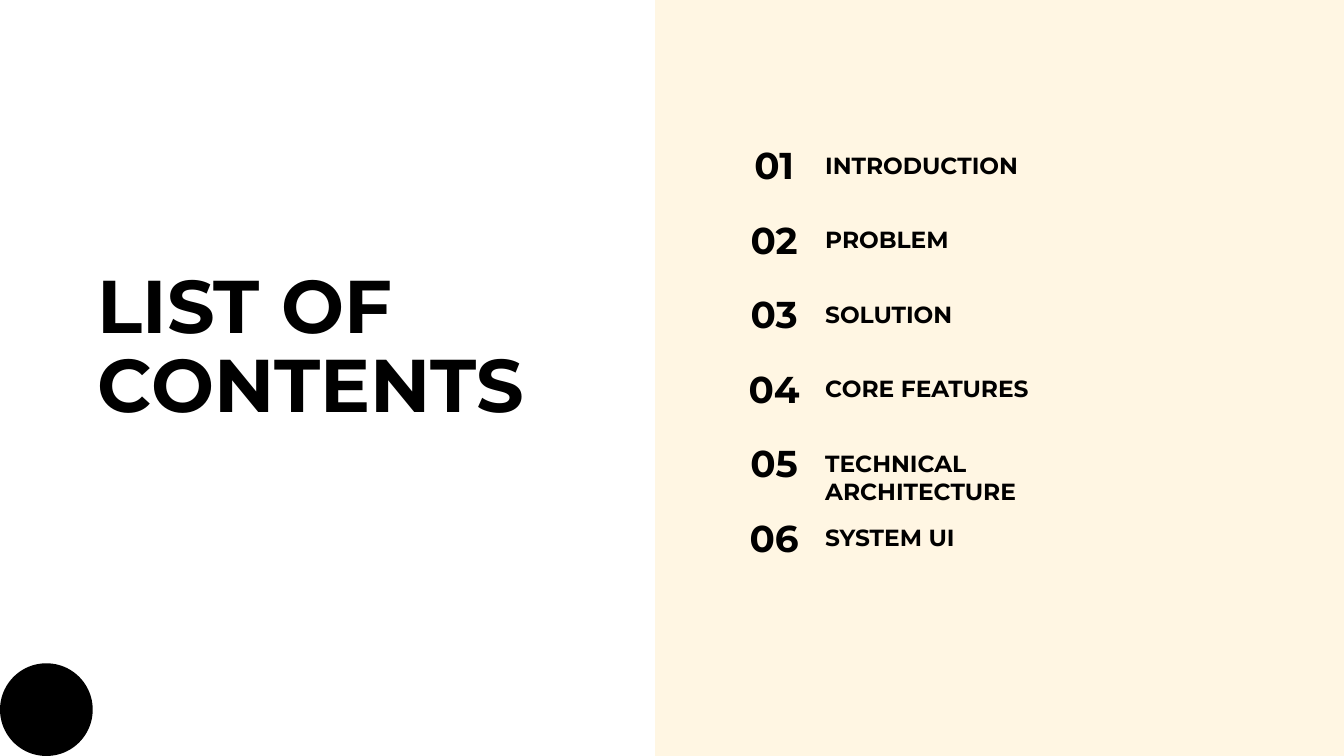
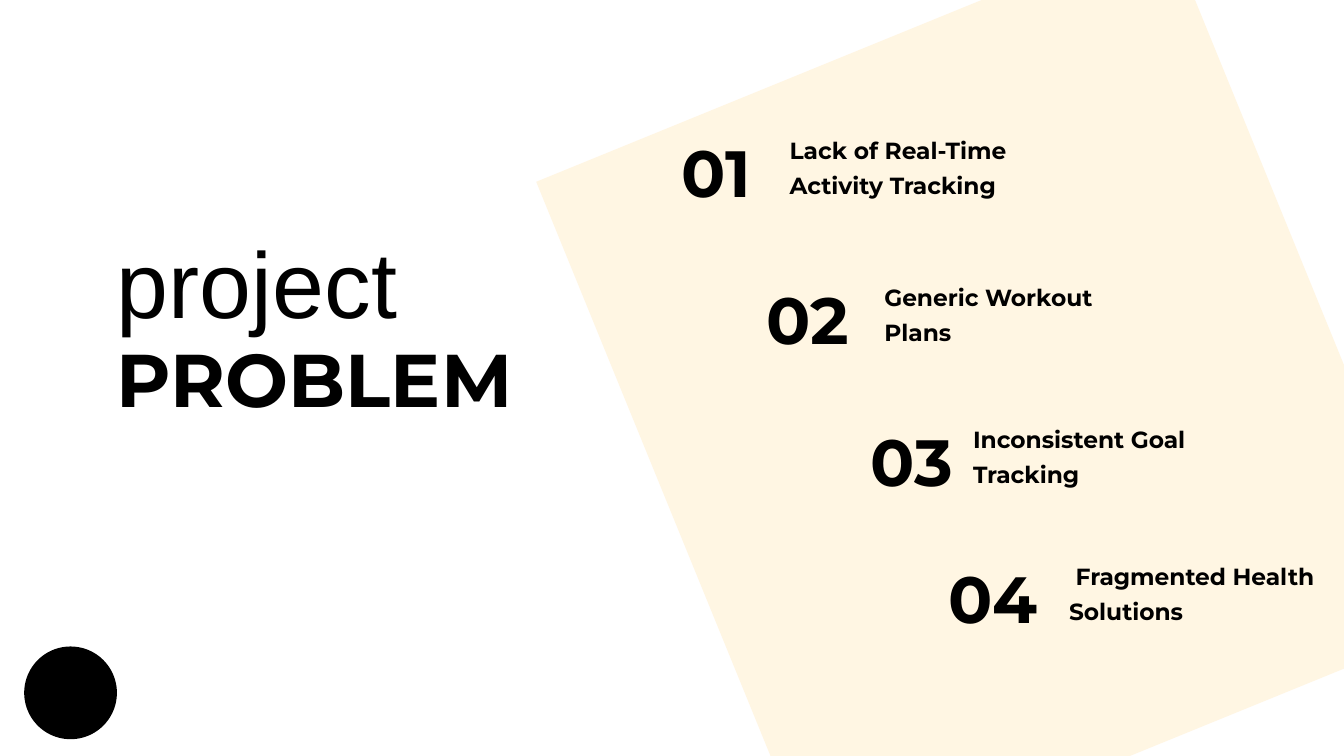
"""Builds the contents slide and the project problem slide."""
from pptx import Presentation
from pptx import util as u
from pptx.dml.color import RGBColor
from pptx.enum import shapes, text

COLORS = {"ink": "000000", "cream": "FFF6E3"}
STYLES = {
    "title": {"name": "Montserrat", "size": u.Pt(80), "bold": True},
    "lead": {"name": "Arial", "size": u.Pt(100), "bold": False},
    "label": {"name": "Montserrat", "size": u.Pt(25), "bold": True},
    "number": {"name": "Montserrat", "size": u.Pt(40), "bold": True},
    "big number": {"name": "Montserrat", "size": u.Pt(70), "bold": True},
}
FRAME = {"margin_left": 0, "margin_right": 0, "margin_top": 0, "margin_bottom": 0,
         "word_wrap": True, "vertical_anchor": text.MSO_ANCHOR.TOP,
         "auto_size": text.MSO_AUTO_SIZE.SHAPE_TO_FIT_TEXT}


def add_text(s, words, box, style, spacing, align=text.PP_ALIGN.LEFT):
    box = [u.Inches(v) for v in box]
    if style == "title":
        sp = s.shapes.title
        sp.left, sp.top, sp.width, sp.height = box
    else:
        sp = s.shapes.add_textbox(*box)
    tf = sp.text_frame
    for key, value in FRAME.items():
        setattr(tf, key, value)
    p = tf.paragraphs[0]
    p.alignment = align
    p.line_spacing = u.Pt(spacing)
    r = p.add_run()
    r.text = words
    for key, value in STYLES[style].items():
        setattr(r.font, key, value)
    r.font.color.rgb = RGBColor.from_string(COLORS["ink"])


def add_block(s, kind, box, color, rotation=0):
    sp = s.shapes.add_shape(kind, *[u.Inches(v) for v in box])
    sp.shadow.inherit = False
    sp.fill.solid()
    sp.fill.fore_color.rgb = RGBColor.from_string(COLORS[color])
    sp.line.fill.background()
    sp.rotation = rotation


prs = Presentation()
prs.slide_width, prs.slide_height = u.Inches(20), u.Inches(11.25)
RECT, OVAL = shapes.MSO_SHAPE.RECTANGLE, shapes.MSO_SHAPE.OVAL
CENTER = text.PP_ALIGN.CENTER
DOT = 1.38

s = prs.slides.add_slide(prs.slide_layouts[5])
add_block(s, RECT, (9.75, -0.47, 10.26, 11.72), "cream")
add_text(s, "LIST OF CONTENTS", (1.45, 4.01, 6.42, 2.4), "title", 84.8)
contents = ["INTRODUCTION", "PROBLEM", "SOLUTION", "CORE FEATURES",
            "TECHNICAL ARCHITECTURE", "SYSTEM UI"]
row_pitch = (7.66 - 2.12) / (len(contents) - 1)
for i, label in enumerate(contents):
    y = 2.12 + i * row_pitch
    add_text(s, f"{i + 1:02d}", (10.76, y, 1.52, 0.66), "number", 48, CENTER)
    add_text(s, label, (12.28, y + 0.13, 4.62, 0.41), "label", 30)
add_block(s, OVAL, (0, 9.87, DOT, DOT), "ink")

s = prs.slides.add_slide(prs.slide_layouts[5])
add_text(s, "PROBLEM", (1.74, 5.17, 7.39, 1.17), "title", 80)
add_text(s, "project", (1.74, 3.55, 6.24, 1.52), "lead", 106)
add_block(s, RECT, (9.73, 0.38, 10.1, 11.25), "cream", 337.8)
problems = [
    ("Lack of Real-Time Activity Tracking", 9.84, 11.75, 1.67),
    ("Generic Workout Plans", 11.2, 13.16, 3.86),
    ("Inconsistent Goal Tracking", 12.74, 14.48, 5.98),
    (" Fragmented Health Solutions", 13.95, 15.91, 8.01),
]
for i, (label, number_x, label_x, y) in enumerate(problems, 1):
    add_text(s, f"{i:02d}", (number_x, y, 1.65, 1.38), "big number", 105, CENTER)
    add_text(s, label, (label_x, y + 0.25, 3.92, 1.02), "label", 37.5)
add_block(s, OVAL, (0.36, 9.62, DOT, DOT), "ink")

prs.save("out.pptx")
